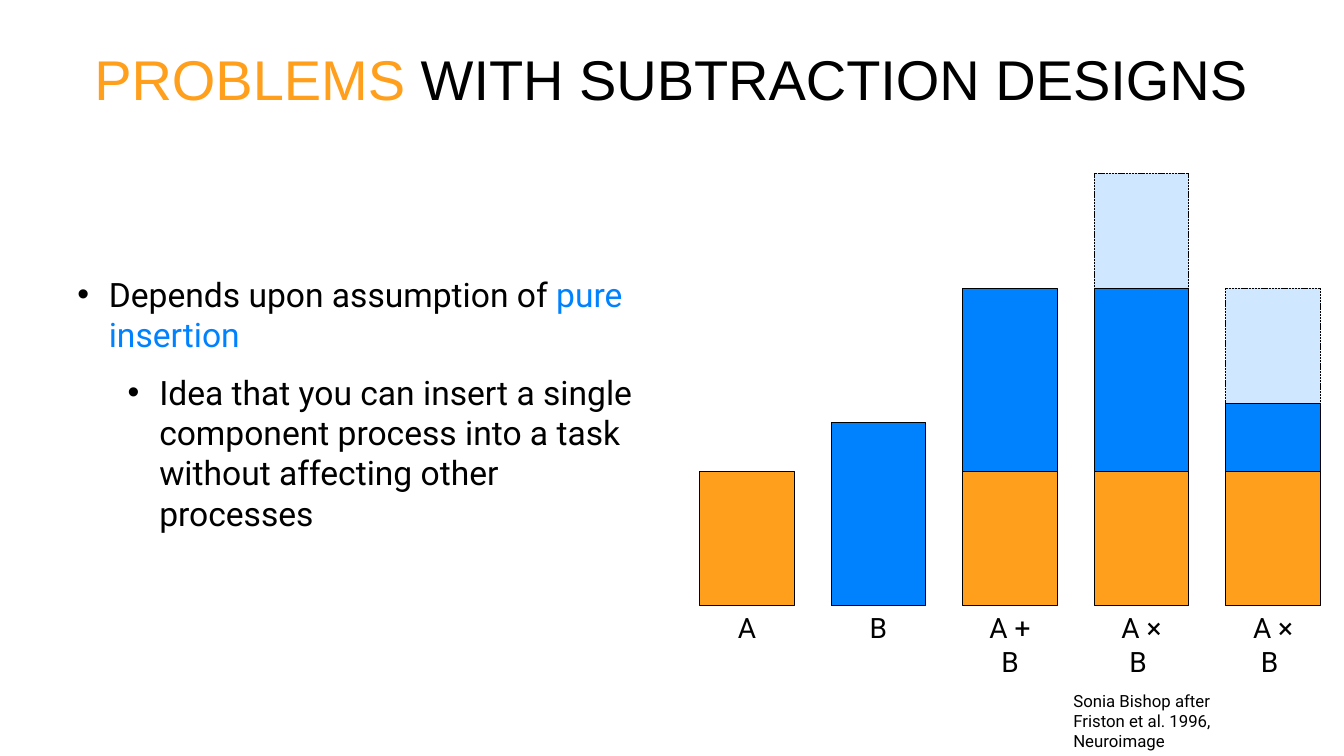
import pptx
import pptx.util
import pptx.dml.color
import pptx.enum.dml
import pptx.enum.shapes
import pptx.enum.text
import pptx.oxml
import pptx.oxml.ns
import lxml.etree

Pt = pptx.util.Pt
RGB = pptx.dml.color.RGBColor
ALIGN = pptx.enum.text.PP_ALIGN
ORANGE = RGB(0xFF, 0x9F, 0x1B)
BLUE = RGB(0x00, 0x82, 0xFF)
BLACK = RGB(0, 0, 0)


def add_text(left, top, width, height, lines, look, align=ALIGN.LEFT):
    """Add a text box; each line is a list of (text, colour) runs."""
    box = slide.shapes.add_textbox(Pt(left), Pt(top), Pt(width), Pt(height))
    frame = box.text_frame
    frame.word_wrap = True
    for num, runs in enumerate(lines):
        para = frame.add_paragraph() if num else frame.paragraphs[0]
        para.alignment = align
        for text, color in runs:
            run = para.add_run()
            run.text = text
            run.font.color.rgb = color
            for key, value in look.items():
                setattr(run.font, key, value)
    return frame


def add_bar(host, left, top, height, color, ghost):
    """Add one bar segment; a ghost is pale with a dashed outline."""
    bar = host.add_shape(pptx.enum.shapes.MSO_SHAPE.RECTANGLE,
                         Pt(left), Pt(top), Pt(WIDTH), Pt(height))
    bar.shadow.inherit = False
    bar.fill.solid()
    bar.fill.fore_color.rgb = color
    bar.line.color.rgb = BLACK
    bar.line.width = Pt(0.5)
    if ghost:
        tint = bar.fill._xPr.find(".//" + pptx.oxml.ns.qn("a:srgbClr"))
        lxml.etree.SubElement(tint, pptx.oxml.ns.qn("a:alpha"), val="19000")
        bar.line.dash_style = pptx.enum.dml.MSO_LINE.SQUARE_DOT


deck = pptx.Presentation()
deck.slide_width, deck.slide_height = Pt(960), Pt(540)
slide = deck.slides.add_slide(deck.slide_layouts[6])

# Bullets
body = add_text(48.2, 192.2, 413.3, 193.7, [
    [("Depends upon assumption of ", BLACK), ("pure insertion", BLUE)],
    [("Idea that you can insert a single component process into a task "
      "without affecting other processes", BLACK)],
], {"name": "Roboto", "size": Pt(24)})
for level, para in enumerate(body.paragraphs):
    para.level = level
    props = para._p.get_or_add_pPr()
    props.set("marL", str(Pt(22.5 + 36 * level)))
    props.set("indent", str(-Pt(22.5)))
    font = lxml.etree.SubElement(props, pptx.oxml.ns.qn("a:buFont"))
    font.set("typeface", "Arial")
    mark = lxml.etree.SubElement(props, pptx.oxml.ns.qn("a:buChar"))
    mark.set("char", "•")
    para.space_after = Pt(12)

# Title
add_text(49, 28.1, 860.4, 55.4,
         [[("PROBLEMS ", ORANGE), ("WITH SUBTRACTION DESIGNS", BLACK)]],
         {"name": "Arial", "size": Pt(40)}, ALIGN.CENTER)

# Stacked bars: segments run upwards from the base line
LEFT, STEP, WIDTH, BASE = 499.7, 93.95, 67.7, 432.7
PART_A = (95.8, ORANGE, False)
PART_B = (131, BLUE, False)
LESS_B = (49, BLUE, False)
GHOST = (82.1, BLUE, True)
stacks = [
    ("A", 28, [PART_A]),
    ("B", 28, [PART_B]),
    ("A + B", 60, [PART_A, PART_B]),
    ("A × B ", 60, [PART_A, PART_B, GHOST]),
    ("A × B ", 60, [PART_A, LESS_B, GHOST]),
]
for col, (label, wide, parts) in enumerate(stacks):
    left, top = LEFT + col * STEP, BASE
    host = slide.shapes
    if len(parts) > 1:
        host = slide.shapes.add_group_shape().shapes
    for height, color, ghost in parts:
        top -= height
        add_bar(host, left, top, height, color, ghost)
    add_text(left + (WIDTH - wide) / 2, BASE, wide, 31.5,
             [[(label, BLACK)]], {"name": "Roboto", "size": Pt(20)},
             ALIGN.CENTER)

# Citation
add_text(759.6, 489.6, 180, 36, [
    [("Sonia Bishop after", BLACK)],
    [("Friston et al. 1996, Neuroimage", BLACK)],
], {"name": "Roboto", "size": Pt(12)})

deck.save("out.pptx")
